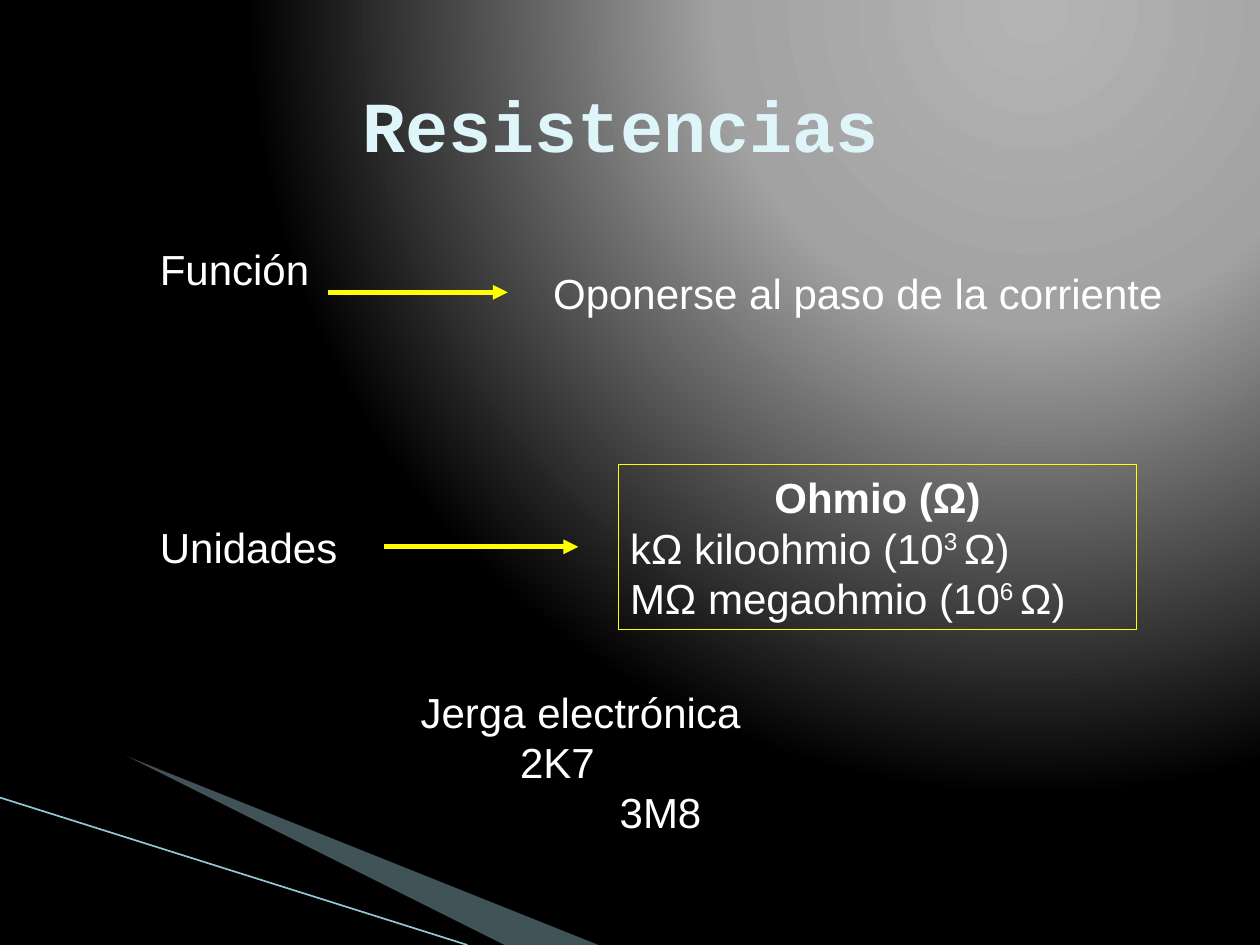
"""Build the slide on resistors: their function, units and jargon."""
from lxml import etree
from pptx import Presentation
from pptx.dml.color import RGBColor
from pptx.enum.shapes import MSO_CONNECTOR, MSO_SHAPE
from pptx.enum.text import MSO_ANCHOR, PP_ALIGN
from pptx.oxml import parse_xml
from pptx.oxml.ns import qn
from pptx.util import Inches, Pt

CENTER, LEFT = PP_ALIGN.CENTER, PP_ALIGN.LEFT
MIDDLE = MSO_ANCHOR.MIDDLE
RECT = MSO_SHAPE.RECTANGLE
STRAIGHT = MSO_CONNECTOR.STRAIGHT

THEME = {
    "text": "FFFFFF", "title": "DEF5FA", "accent": "FFFF00",
    "wedge": "A0CBDC", "shade": "000000", "edge": "97C5D8",
    "glow": [(0, "B4B4B4"), (40, "A2A2A2"), (100, "000000")],
    "font": "Arial", "head": "Courier New", "size": 24, "big": 41,
}
SUPER = "33000"


def write(shape, lines, font=THEME["font"], size=THEME["size"],
          color=THEME["text"], bold=False, align=LEFT, inset=0.1, step=0):
    """Fill a shape with lines; each line is a list of (text, raised) parts."""
    frame = shape.text_frame
    frame.word_wrap = True
    frame.vertical_anchor = MIDDLE
    frame.margin_left = frame.margin_right = Inches(inset)
    frame.margin_top = frame.margin_bottom = Inches(inset / 2)
    for i, parts in enumerate(lines):
        para = frame.paragraphs[0] if i == 0 else frame.add_paragraph()
        para.alignment = align
        if step and i:
            para._p.get_or_add_pPr().set("marL", str(Inches(step * i)))
        for text, raised in parts:
            run = para.add_run()
            run.text = text
            run.font.name, run.font.size, run.font.bold = font, Pt(size), bold
            run.font.color.rgb = RGBColor.from_string(color)
            if raised:
                run._r.get_or_add_rPr().set("baseline", SUPER)
    return frame


def draw(start, end, color, width):
    """Draw a straight line without shadow."""
    line = slide.shapes.add_connector(STRAIGHT, *map(Inches, start + end))
    line.line.color.rgb = RGBColor.from_string(color)
    line.line.width = Pt(width)
    etree.SubElement(line._element.spPr, qn("a:effectLst"))
    return line


deck = Presentation()
deck.slide_width, deck.slide_height = Inches(10), Inches(7.5)
slide = deck.slides.add_slide(deck.slide_layouts[5])

back = slide.background.fill
back.gradient()
grad = back._xPr.find(qn("a:gradFill"))
stops = "".join(f'<a:gs pos="{pos * 1000}"><a:srgbClr val="{color}"/></a:gs>'
                for pos, color in THEME["glow"])
grad.getparent().replace(grad, parse_xml(
    '<a:gradFill xmlns:a="http://schemas.openxmlformats.org/drawingml/2006/main"'
    f' rotWithShape="1"><a:gsLst>{stops}</a:gsLst><a:path path="circle">'
    '<a:fillToRect l="65000" t="0" r="0" b="98000"/></a:path></a:gradFill>'))

wedges = [
    ([(0.55, 6.5), (5.95, 7.5), (4.56, 7.5)], "wedge", 40),
    ([(0.53, 6.49), (4.57, 7.5), (3.72, 7.5)], "shade", 100),
]
for points, color, alpha in wedges:
    pen = slide.shapes.build_freeform(*points[0], scale=Inches(1))
    pen.add_line_segments(points[1:], close=True)
    wedge = pen.convert_to_shape()
    wedge.shadow.inherit = False
    wedge.line.fill.background()
    wedge.fill.solid()
    wedge.fill.fore_color.rgb = RGBColor.from_string(THEME[color])
    if alpha < 100:
        tint = wedge._element.spPr.find(qn("a:solidFill"))[0]
        etree.SubElement(tint, qn("a:alpha")).set("val", str(alpha * 1000))
draw((0, 6.33), (3.71, 7.5), THEME["edge"], 0.95)

title = slide.shapes.title
title.left, title.top, title.width, title.height = map(
    Inches, (0.43, 0.36, 9, 1.25))
write(title, [[("Resistencias", False)]], font=THEME["head"],
      size=THEME["big"], color=THEME["title"], bold=True, align=CENTER)

labels = [
    ((4.39, 2.12, 5.36, 0.4), ["Oponerse al paso de la corriente"], 0),
    ((1.17, 1.88, 1.43, 0.5), ["Función"], 0.1),
    ((1.17, 4.09, 2.25, 0.5), ["Unidades"], 0.1),
    ((3.24, 5.39, 5.14, 1.31), ["Jerga electrónica", "2K7", "3M8"], 0.1),
]
for place, lines, inset in labels:
    box = slide.shapes.add_textbox(*map(Inches, place))
    write(box, [[(text, False)] for text in lines], inset=inset, step=0.79)

for left, right, top in [(2.6, 4.03, 2.32), (3.05, 4.59, 4.34)]:
    arrow = draw((left, top), (right, top), THEME["accent"], 2.83)
    stroke = arrow.line._get_or_add_ln()
    etree.SubElement(stroke, qn("a:tailEnd")).set("type", "triangle")

units = slide.shapes.add_shape(RECT, *map(Inches, (4.91, 3.69, 4.11, 1.31)))
units.shadow.inherit = False
units.fill.background()
units.line.color.rgb = RGBColor.from_string(THEME["accent"])
units.line.width = Pt(0.57)
frame = write(units, [
    [("Ohmio (Ω)", False)],
    [("kΩ kiloohmio (10", False), ("3 ", True), ("Ω)", False)],
    [("MΩ megaohmio (10", False), ("6 ", True), ("Ω)", False)],
], inset=0.09)
frame.paragraphs[0].alignment = CENTER
frame.paragraphs[0].runs[0].font.bold = True

deck.save("out.pptx")
